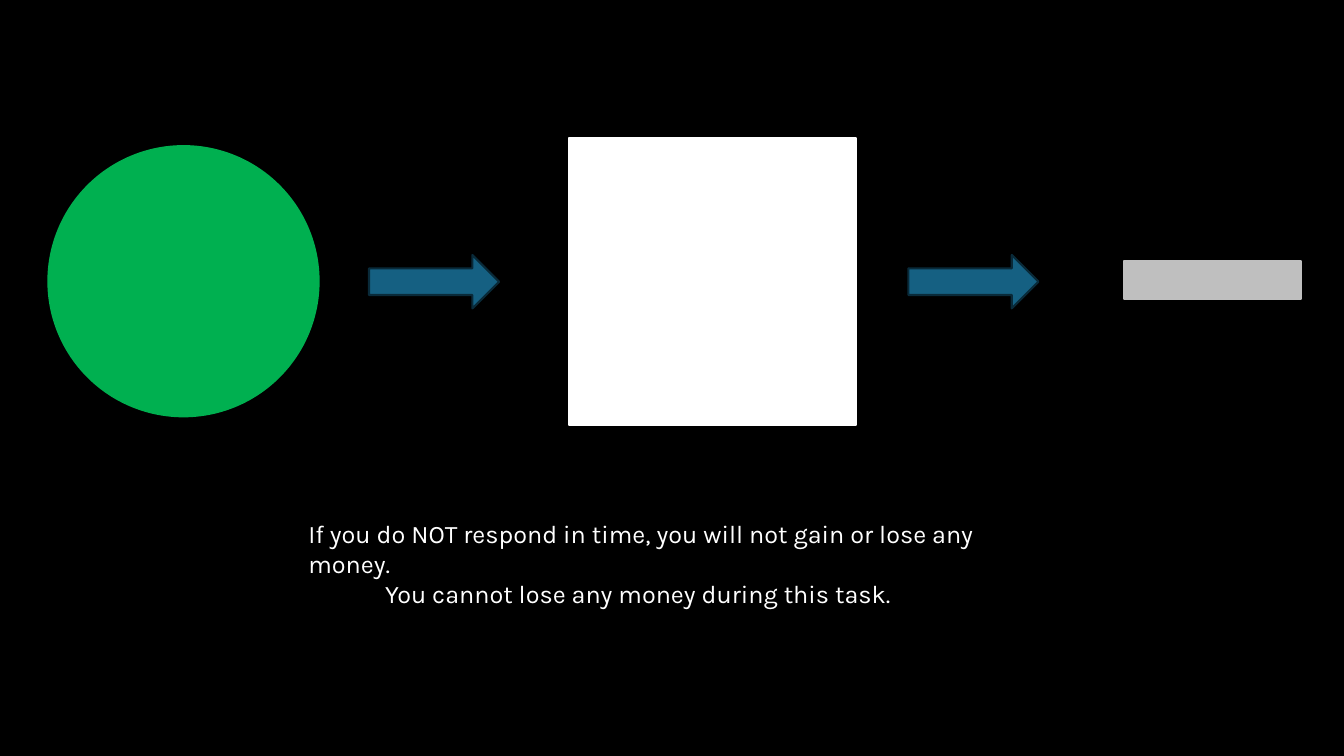
import pptx
import pptx.util
import pptx.dml.color
import pptx.enum.shapes
import pptx.enum.text

Inches = pptx.util.Inches
Pt = pptx.util.Pt
Kind = pptx.enum.shapes.MSO_SHAPE
colors = {
    "black": "000000",
    "white": "FFFFFF",
    "green": "00B050",
    "blue": "156082",
    "navy": "092A39",
    "gray": "BFBFBF",
}


def paint(fill, name):
    fill.solid()
    fill.fore_color.rgb = pptx.dml.color.RGBColor.from_string(colors[name])


deck = pptx.Presentation()
deck.slide_width = Inches(13.33)
deck.slide_height = Inches(7.5)
slide = deck.slides.add_slide(deck.slide_layouts[6])
paint(slide.background.fill, "black")

steps = [
    (Kind.RECTANGLE, 5.64, 1.37, 2.85, 2.85, "white", "white"),
    (Kind.OVAL, 0.48, 1.45, 2.68, 2.68, "green", "green"),
    (Kind.RIGHT_ARROW, 3.66, 2.53, 1.29, 0.53, "blue", "navy"),
    (Kind.RIGHT_ARROW, 9.01, 2.53, 1.29, 0.53, "blue", "navy"),
    (Kind.RECTANGLE, 11.15, 2.59, 1.75, 0.38, "gray", "gray"),
]
for kind, left, top, width, height, fill, edge in steps:
    shape = slide.shapes.add_shape(
        kind, Inches(left), Inches(top), Inches(width), Inches(height))
    shape.shadow.inherit = False
    paint(shape.fill, fill)
    paint(shape.line.fill, edge)
    shape.line.width = Pt(1.5)

box = slide.shapes.add_textbox(
    Inches(2.96), Inches(5.09), Inches(7.29), Inches(0.71))
frame = box.text_frame
frame.word_wrap = False
frame.auto_size = pptx.enum.text.MSO_AUTO_SIZE.SHAPE_TO_FIT_TEXT
frame.text = (
    "If you do NOT respond in time, you will not gain or lose any money.\n"
    "You cannot lose any money during this task. ")
for para in frame.paragraphs:
    para.font.name = "Karla"
    para.font.size = Pt(18)
    paint(para.font.fill, "white")
frame.paragraphs[1].alignment = pptx.enum.text.PP_ALIGN.CENTER

deck.save("out.pptx")
